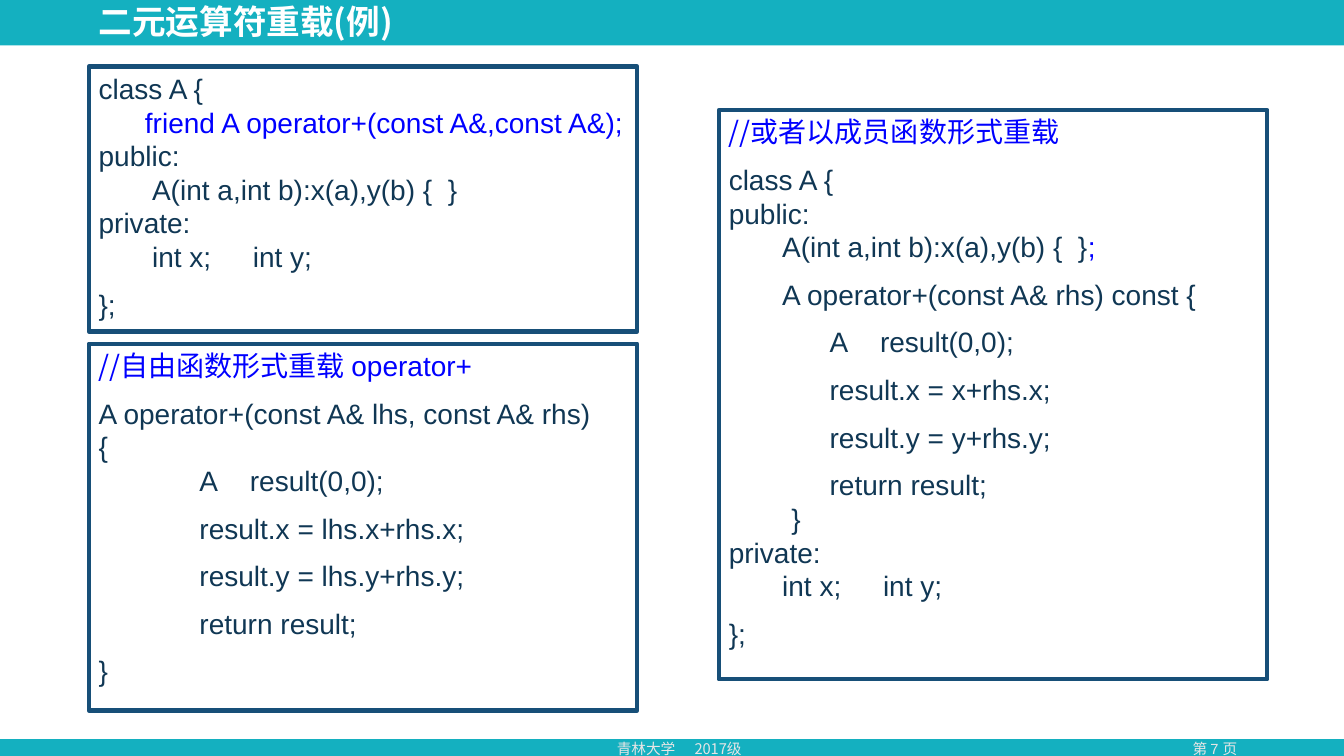
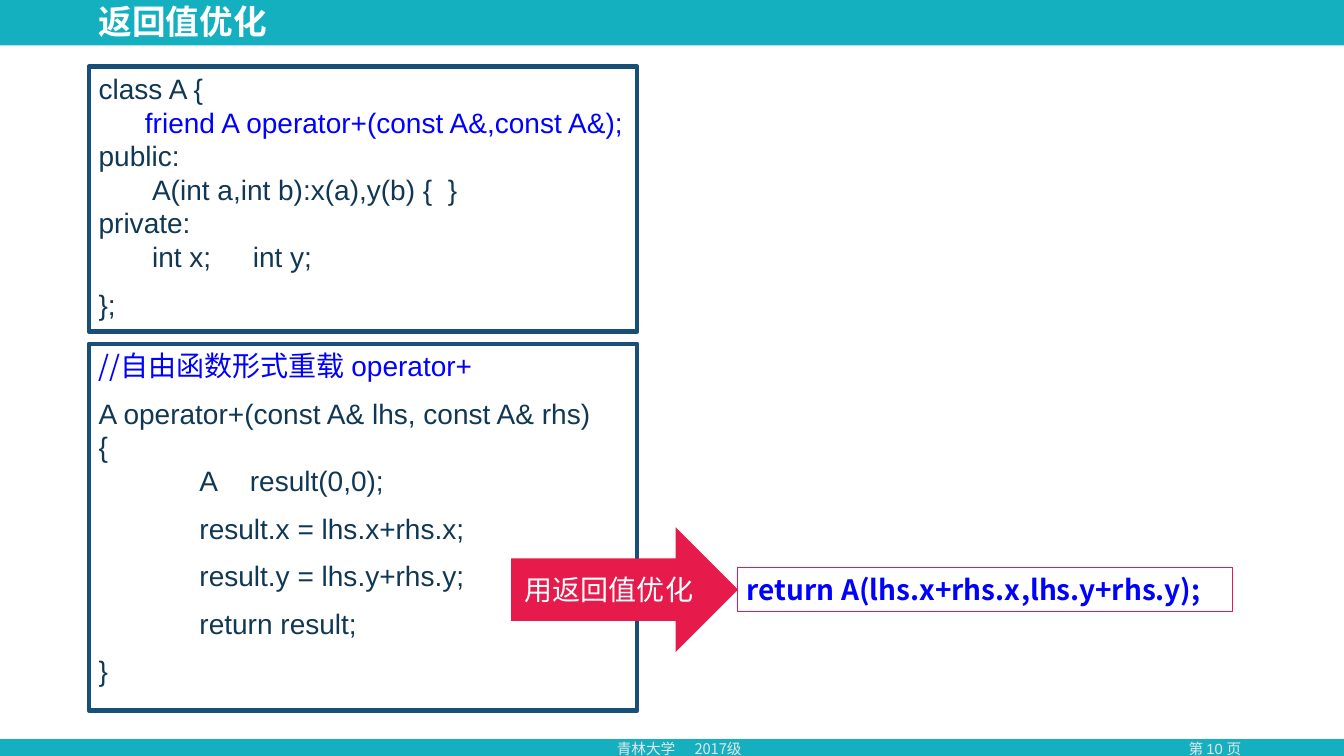
from typing import NamedTuple
from lxml.etree import SubElement as Sub
from pptx import Presentation
from pptx.dml.color import RGBColor as RGB
from pptx.enum.shapes import MSO_SHAPE as Kind
from pptx.enum.text import MSO_ANCHOR as Anchor, PP_ALIGN as Align
from pptx.oxml.ns import qn
from pptx.util import Inches, Pt

HUE = {
    "band": "14B0C0", "white": "FFFFFF", "foot": "E7E6E6", "edge": "174F78",
    "ink": "103754", "blue": "0000FF", "red": "E61A4B",
}
CODE, HAN = "Arial", "Noto Sans CJK SC"
WIDE, HIGH = 13.33, 7.5
STEP, DEEP = 0.53, 1.0


class Line(NamedTuple):
    text: str
    pad: float = 0
    gap: int = 0
    tone: str = "ink"
    face: str = CODE
    tab: float = 0
    tail: str = ""


HEAD = [
    Line("class A {"),
    Line("friend A operator+(const A&,const A&);", 0.46, tone="blue"),
    Line("public:"),
    Line("A(int a,int b):x(a),y(b) {  }", STEP),
]
DATA = [
    Line("private:"),
    Line("int x;\tint y;", STEP, tab=1.36),
    Line("};", gap=10),
]
FRIEND = HEAD + DATA
FREE = [
    Line("//自由函数形式重载 ", tone="blue", face=HAN, tail="operator+"),
    Line("A operator+(const A& lhs, const A& rhs)", gap=10),
    Line("{"),
    Line("A\tresult(0,0);", DEEP, tab=1.54),
    Line("result.x = lhs.x+rhs.x;", DEEP, 10),
    Line("result.y = lhs.y+rhs.y;", DEEP, 10),
    Line("return result;", DEEP, 10),
    Line("}", gap=10),
]
MEMBER = [
    Line("//或者以成员函数形式重载", tone="blue", face=HAN),
    Line("class A {", gap=10),
    Line("public:"),
    Line("A(int a,int b):x(a),y(b) {  }", STEP, tail=";"),
    Line("A operator+(const A& rhs) const {", STEP, 10),
    Line("A\tresult(0,0);", DEEP, 10, tab=1.54),
    Line("result.x = x+rhs.x;", DEEP, 10),
    Line("result.y = y+rhs.y;", DEEP, 10),
    Line("return result;", DEEP, 10),
    Line("}", 0.62),
] + DATA


def tint(name):
    return RGB.from_string(HUE[name])


def style(font, props, size, tone, face, bold=False):
    font.size, font.name, font.bold = Pt(size), face, bold
    font.color.rgb = tint(tone)
    Sub(props, qn("a:ea"), typeface=HAN)


def style_para(para, size, tone, face, bold=False):
    font = para.font
    style(font, para._p.pPr.find(qn("a:defRPr")), size, tone, face, bold)


def add_tab(para, spot):
    props = para._p.get_or_add_pPr()
    stops = Sub(props, qn("a:tabLst"))
    Sub(stops, qn("a:tab"), pos=str(Inches(spot)), algn="l")


def shape(slide, box, kind=Kind.RECTANGLE, fill=None, edge=None, width=0):
    item = slide.shapes.add_shape(kind, *map(Inches, box))
    item.shadow.inherit = False
    if fill:
        item.fill.solid()
        item.fill.fore_color.rgb = tint(fill)
    else:
        item.fill.background()
    if edge:
        item.line.color.rgb = tint(edge)
        item.line.width = Pt(width)
    else:
        item.line.fill.background()
    return item


def label(slide, box, text, size, tone, face=HAN, bold=False,
          align=Align.LEFT, anchor=Anchor.TOP, tab=0):
    frame = slide.shapes.add_textbox(*map(Inches, box)).text_frame
    frame.word_wrap = True
    frame.vertical_anchor = anchor
    para = frame.paragraphs[0]
    para.text = text
    para.alignment = align
    if tab:
        add_tab(para, tab)
    style_para(para, size, tone, face, bold)
    return para


def base(deck, title, page):
    slide = deck.slides.add_slide(deck.slide_layouts[6])
    shape(slide, (0, 0, WIDE, HIGH), fill="band")
    shape(slide, (0, 0.45, WIDE, 6.88), fill="white")
    label(slide, (11.32, 7.29, 1.46, 0.28), f"第 {page} 页", 10.5, "foot",
          CODE, align=Align.CENTER)
    label(slide, (6.02, 7.29, 1.84, 0.28), "青林大学\t2017级", 10.5, "foot",
          tab=0.77)
    head = label(slide, (0.88, 0.04, 7.68, 0.39), title, 24, "white",
                 bold=True, anchor=Anchor.MIDDLE)
    head.line_spacing = 0.9
    return slide


def code(slide, box, lines):
    frame = shape(slide, box, edge="edge", width=3).text_frame
    frame.word_wrap = True
    frame.vertical_anchor = Anchor.TOP
    for i, line in enumerate(lines):
        para = frame.add_paragraph() if i else frame.paragraphs[0]
        para.alignment = Align.LEFT
        para.line_spacing = Pt(24)
        para.space_before = Pt(line.gap)
        props = para._p.get_or_add_pPr()
        props.set("marL", str(Inches(line.pad)))
        props.set("indent", "0")
        if line.tab:
            add_tab(para, line.tab)
        if line.tail:
            parts = ((line.text, line.tone, line.face),
                     (line.tail, "blue", CODE))
            for text, tone, face in parts:
                run = para.add_run()
                run.text = text
                style(run.font, run._r.get_or_add_rPr(), 20, tone, face)
        else:
            para.add_run().text = line.text
            style_para(para, 20, line.tone, line.face)


def left(slide, x, y):
    code(slide, (x, y, 5.44, 2.63), FRIEND)
    code(slide, (x, y + 2.75, 5.44, 3.64), FREE)


def note(item, text, tone, align, anchor, bold=False):
    frame = item.text_frame
    frame.word_wrap = True
    frame.vertical_anchor = anchor
    para = frame.paragraphs[0]
    para.text = text
    para.alignment = align
    para.line_spacing = Pt(24)
    style_para(para, 20, tone, HAN, bold)


def advice(slide, x, y):
    result = shape(slide, (x + 2.24, y + 0.4, 4.91, 0.44), fill="white",
                   edge="red", width=0.75)
    note(result, "return A(lhs.x+rhs.x,lhs.y+rhs.y);", "blue", Align.LEFT,
         Anchor.TOP, True)
    arrow = shape(slide, (x, y, 2.25, 1.24), Kind.RIGHT_ARROW, "red")
    note(arrow, "用返回值优化", "white", Align.CENTER, Anchor.MIDDLE)


def binary(deck):
    slide = base(deck, "二元运算符重载(例)", 7)
    left(slide, 0.88, 0.66)
    code(slide, (7.13, 1.09, 5.44, 5.65), MEMBER)


def value(deck):
    slide = base(deck, "返回值优化", 10)
    left(slide, 0.88, 0.66)
    advice(slide, 5.07, 5.23)


deck = Presentation()
deck.slide_width, deck.slide_height = Inches(WIDE), Inches(HIGH)
binary(deck)
value(deck)
deck.save("out.pptx")
